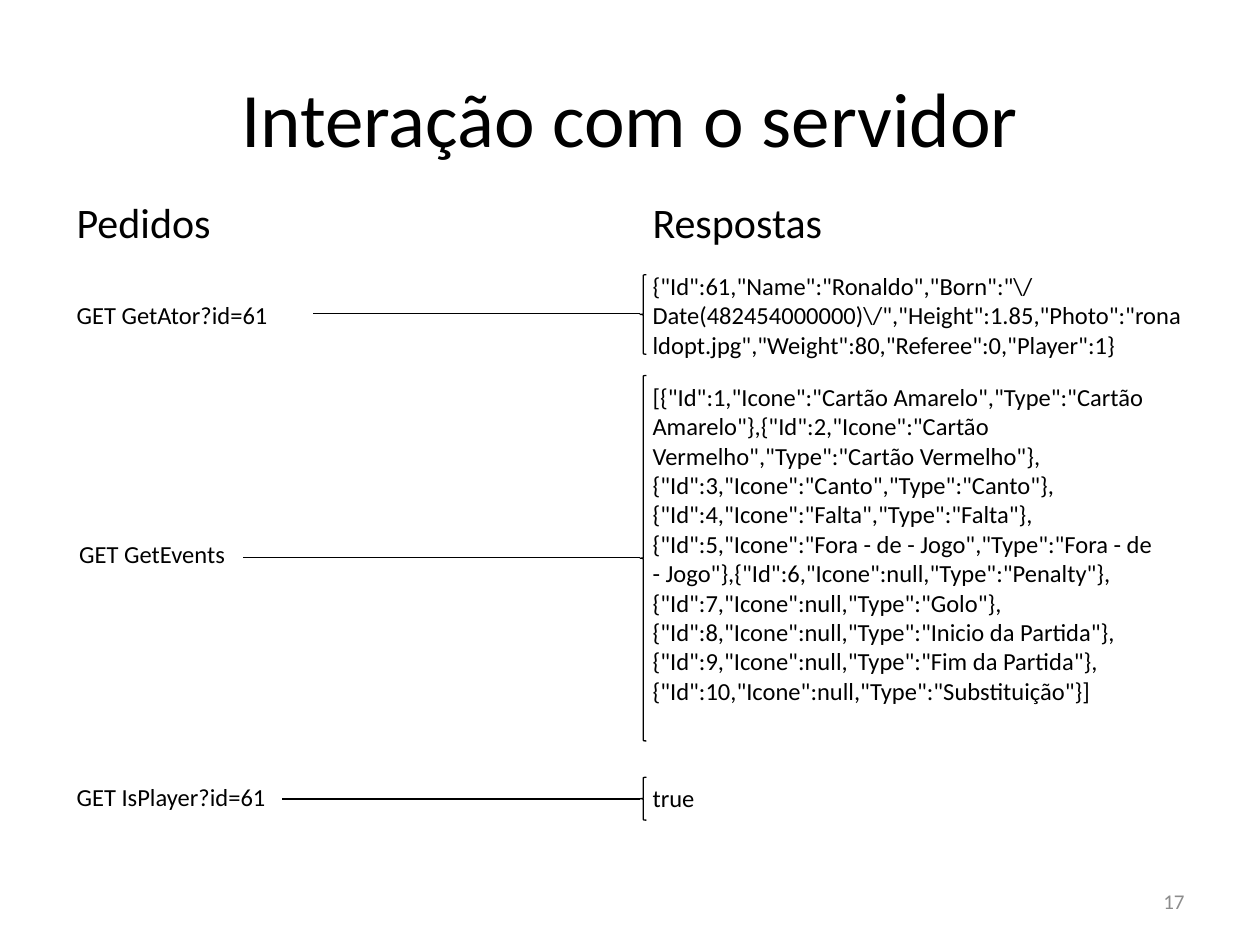
"""Build the slide that pairs server requests with their responses."""
from dataclasses import dataclass

from lxml import etree
from pptx import Presentation
from pptx import util as u
from pptx.dml.color import RGBColor
from pptx.enum import shapes, text
from pptx.oxml.ns import qn

BLACK, GRAY = "000000", "8C8C8C"
LEFT_X, RIGHT_X = 36.7, 365.8
COLUMN_W, ANSWER_W = 318.2, 306
BRACE_W = 3.6
TOP, MIDDLE, BOTTOM = text.MSO_ANCHOR.TOP, text.MSO_ANCHOR.MIDDLE, text.MSO_ANCHOR.BOTTOM
LEFT, CENTER, RIGHT = text.PP_ALIGN.LEFT, text.PP_ALIGN.CENTER, text.PP_ALIGN.RIGHT

ACTOR = (
    r'{"Id":61,"Name":"Ronaldo","Born":"\/Date(482454000000)\/","Height":1.85,'
    '"Photo":"ronaldopt.jpg","Weight":80,"Referee":0,"Player":1}'
)
EVENTS = (
    '[{"Id":1,"Icone":"Cartão Amarelo","Type":"Cartão Amarelo"},'
    '{"Id":2,"Icone":"Cartão Vermelho","Type":"Cartão Vermelho"},'
    '{"Id":3,"Icone":"Canto","Type":"Canto"},'
    '{"Id":4,"Icone":"Falta","Type":"Falta"},'
    '{"Id":5,"Icone":"Fora - de - Jogo","Type":"Fora - de - Jogo"},'
    '{"Id":6,"Icone":null,"Type":"Penalty"},'
    '{"Id":7,"Icone":null,"Type":"Golo"},'
    '{"Id":8,"Icone":null,"Type":"Inicio da Partida"},'
    '{"Id":9,"Icone":null,"Type":"Fim da Partida"},'
    '{"Id":10,"Icone":null,"Type":"Substituição"}]'
)


@dataclass
class Label:
    """A text box with one formatted paragraph."""
    words: str
    x: float
    y: float
    w: float
    h: float
    size: float = 14
    anchor: text.MSO_ANCHOR = TOP
    align: text.PP_ALIGN = LEFT
    color: str = BLACK


@dataclass
class Exchange:
    """A request joined by a line and a brace to its response."""
    request: Label
    response: Label
    brace_y: float
    brace_h: float
    line_x: float
    line_y: float


HEADINGS = [
    Label("Interação com o servidor", 36, 21.6, 648, 90, 44, MIDDLE, CENTER),
    Label("Pedidos", LEFT_X, 94.3, COLUMN_W, 50.4, 24, BOTTOM),
    Label("Respostas", RIGHT_X, 94.3, COLUMN_W, 50.4, 24, BOTTOM),
    Label("17", 516, 500.4, 168, 28.8, 12, MIDDLE, RIGHT, GRAY),
]
EXCHANGES = [
    Exchange(
        Label("GET GetAtor?id=61", LEFT_X, 167.8, COLUMN_W, 36.7),
        Label(ACTOR, RIGHT_X, 151.2, COLUMN_W, 62.6),
        157, 45.4, 178.6, 179.3),
    Exchange(
        Label("GET GetEvents", 38.2, 304.6, 175.7, 24.5),
        Label(EVENTS, RIGHT_X, 214.6, ANSWER_W, 232.6),
        214.6, 208.8, 139, 318.7),
    Exchange(
        Label("GET IsPlayer?id=61", LEFT_X, 443.5, 203.8, 24.5),
        Label("true", RIGHT_X, 444.2, ANSWER_W, 24.5),
        444.2, 24.5, 161.3, 456.5),
]


def rgb(value: str) -> RGBColor:
    """Turn a hex string into a colour."""
    return RGBColor.from_string(value)


def set_line(sp) -> None:
    """Give a shape or connector the thin black line."""
    sp.line.color.rgb = rgb(BLACK)
    sp.line.width = u.Pt(0.75)


def add_label(s, label: Label) -> None:
    """Draw a text box."""
    sp = s.shapes.add_textbox(*map(u.Pt, (label.x, label.y, label.w, label.h)))
    tf = sp.text_frame
    tf.word_wrap = True
    tf.vertical_anchor = label.anchor
    tf.text = label.words
    p = tf.paragraphs[0]
    p.alignment = label.align
    r = p.runs[0]
    r.font.name = "Calibri"
    r.font.size = u.Pt(label.size)
    r.font.color.rgb = rgb(label.color)


def add_exchange(s, item: Exchange) -> None:
    """Draw a request, its response, and the brace and line between them."""
    add_label(s, item.request)
    add_label(s, item.response)
    sp = s.shapes.add_shape(
        shapes.MSO_SHAPE.LEFT_BRACE,
        *map(u.Pt, (RIGHT_X, item.brace_y, BRACE_W, item.brace_h)))
    sp.shadow.inherit = False
    sp.fill.background()
    set_line(sp)
    line = s.shapes.add_connector(
        shapes.MSO_CONNECTOR.STRAIGHT,
        *map(u.Pt, (RIGHT_X, item.line_y, item.line_x, item.line_y)))
    set_line(line)
    etree.SubElement(line._element.spPr, qn("a:effectLst"))


def main() -> None:
    """Build and save the presentation."""
    prs = Presentation()
    prs.slide_width, prs.slide_height = u.Pt(720), u.Pt(540)
    s = prs.slides.add_slide(prs.slide_layouts[6])
    for label in HEADINGS:
        add_label(s, label)
    for item in EXCHANGES:
        add_exchange(s, item)
    prs.save("out.pptx")


if __name__ == "__main__":
    main()
